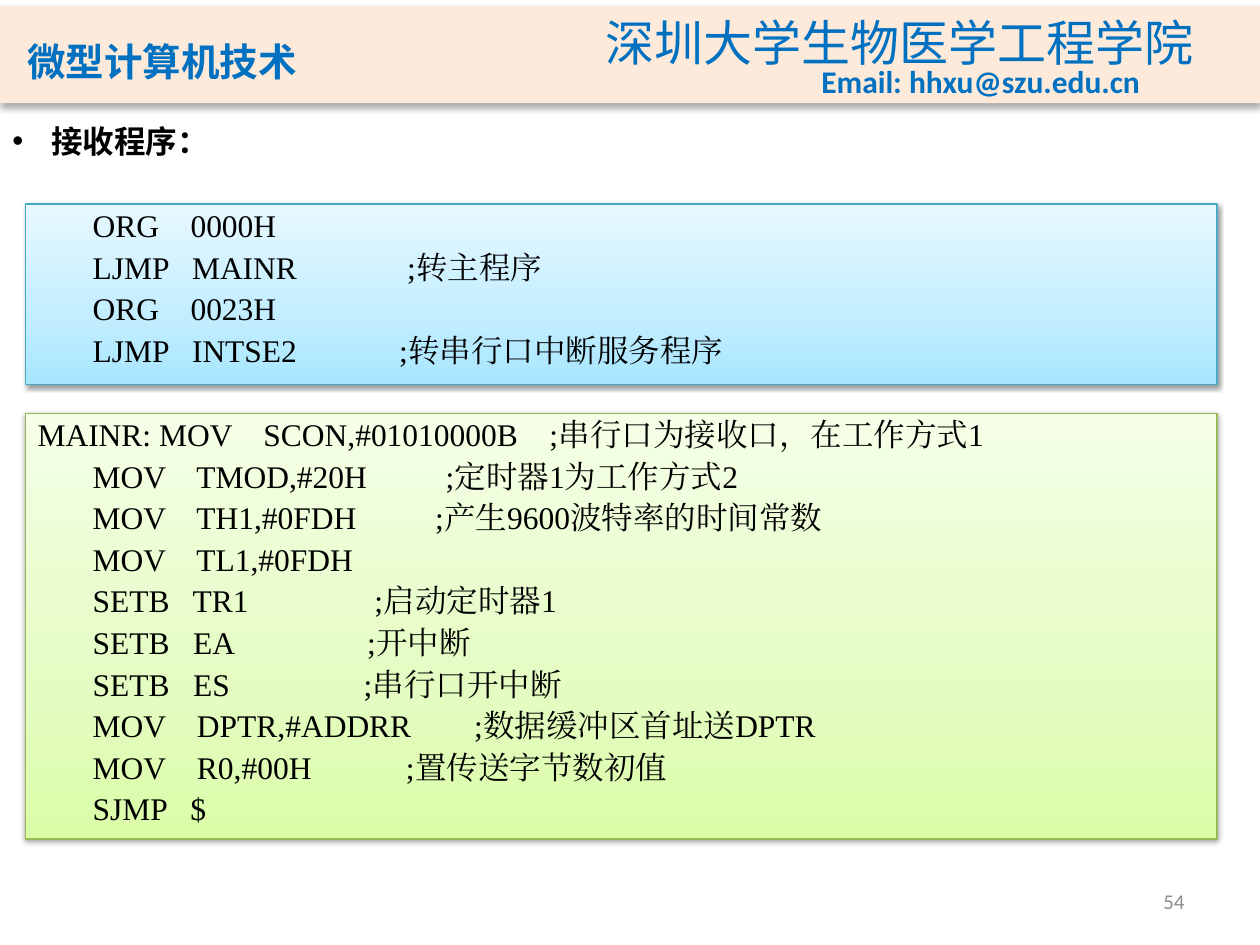
"""Build the lecture slide that shows the serial receive program."""
import pptx
import pptx.dml.color
import pptx.enum.shapes
import pptx.enum.text
import pptx.oxml
import pptx.oxml.ns
import pptx.util
from pptx.util import Inches

RGBColor = pptx.dml.color.RGBColor
ALIGN = pptx.enum.text.PP_ALIGN
ANCHOR = pptx.enum.text.MSO_ANCHOR
BLUE = RGBColor(0x00, 0x70, 0xC0)
BLACK = RGBColor(0x00, 0x00, 0x00)
GREY = RGBColor(0x8C, 0x8C, 0x8C)
PEACH = RGBColor(0xFD, 0xEA, 0xDA)
TEAL_LINE = RGBColor(0x46, 0xAA, 0xC5)
GREEN_LINE = RGBColor(0x98, 0xB9, 0x55)
BLUE_STOPS = [
    (0, RGBColor(0xA7, 0xE6, 0xFF)),
    (35, RGBColor(0xC1, 0xED, 0xFF)),
    (100, RGBColor(0xE7, 0xF8, 0xFF)),
]
GREEN_STOPS = [
    (0, RGBColor(0xDA, 0xFD, 0xA7)),
    (35, RGBColor(0xE4, 0xFC, 0xC2)),
    (100, RGBColor(0xF5, 0xFF, 0xE7)),
]
VECTORS = """       ORG    0000H
       LJMP   MAINR              ;转主程序
       ORG    0023H
       LJMP   INTSE2             ;转串行口中断服务程序"""
MAIN_ROUTINE = """MAINR: MOV    SCON,#01010000B    ;串行口为接收口，在工作方式1
       MOV    TMOD,#20H          ;定时器1为工作方式2
       MOV    TH1,#0FDH          ;产生9600波特率的时间常数
       MOV    TL1,#0FDH
       SETB   TR1                ;启动定时器1
       SETB   EA                 ;开中断
       SETB   ES                 ;串行口开中断
       MOV    DPTR,#ADDRR        ;数据缓冲区首址送DPTR
       MOV    R0,#00H            ;置传送字节数初值
       SJMP   $"""


def xml(tag, parent, **attrs):
    el = pptx.oxml.parse_xml(f'<{tag} {pptx.oxml.ns.nsdecls("a")}/>')
    for name, value in attrs.items():
        el.set(name, str(value))
    parent.append(el)
    return el


def write(p, text, size=18, font="Calibri", color=BLACK, bold=False, align=ALIGN.LEFT):
    p.alignment = align
    r = p.add_run()
    r.text = text
    r.font.size = pptx.util.Pt(size)
    r.font.name = font
    r.font.bold = bold
    r.font.color.rgb = color
    xml("a:ea", r.font._element, typeface=font)


def indent(p, length):
    pPr = p._p.get_or_add_pPr()
    pPr.set("marL", str(length))
    pPr.set("indent", str(-length))
    return pPr


def add_text(slide, box, text, anchor=ANCHOR.TOP, wrap=False, bullet=False, **style):
    sp = slide.shapes.add_textbox(*map(Inches, box))
    tf = sp.text_frame
    tf.word_wrap = wrap
    tf.vertical_anchor = anchor
    p = tf.paragraphs[0]
    if bullet:
        pPr = indent(p, Inches(0.31))
        xml("a:buFont", pPr, typeface="Arial")
        xml("a:buChar", pPr, char="•")
    write(p, text, **style)


def add_shadow(sp, blur, dist, opacity):
    sp.shadow.inherit = False
    effects = sp._element.spPr.find(pptx.oxml.ns.qn("a:effectLst"))
    shadow = xml("a:outerShdw", effects, blurRad=pptx.util.Pt(blur),
                 dist=pptx.util.Pt(dist), dir=5400000, rotWithShape=0)
    color = xml("a:srgbClr", shadow, val=BLACK)
    xml("a:alpha", color, val=opacity * 1000)


def add_rect(slide, box):
    return slide.shapes.add_shape(
        pptx.enum.shapes.MSO_SHAPE.RECTANGLE, *map(Inches, box))


def add_band(slide, box):
    sp = add_rect(slide, box)
    sp.fill.solid()
    sp.fill.fore_color.rgb = PEACH
    sp.line.fill.background()
    add_shadow(sp, 3.5, 2.2, 32)


def add_code(slide, box, code, stops, line):
    sp = add_rect(slide, box)
    sp.fill.gradient()
    sp.fill.gradient_angle = 90
    stop_list = sp._element.spPr.find(".//" + pptx.oxml.ns.qn("a:gsLst"))
    for old in list(stop_list):
        stop_list.remove(old)
    for pos, color in stops:
        xml("a:srgbClr", xml("a:gs", stop_list, pos=pos * 1000), val=color)
    sp.line.color.rgb = line
    sp.line.width = pptx.util.Pt(0.75)
    add_shadow(sp, 3.1, 1.6, 38)
    tf = sp.text_frame
    tf.word_wrap = True
    tf.vertical_anchor = ANCHOR.TOP
    for i, text in enumerate(code.splitlines()):
        p = tf.add_paragraph() if i else tf.paragraphs[0]
        indent(p, Inches(0.38))
        p.line_spacing = 0.9
        p.space_before = pptx.util.Pt(4.3 if i else 0)
        write(p, text, font="Times New Roman")


def main():
    prs = pptx.Presentation()
    prs.slide_width, prs.slide_height = Inches(10), Inches(7.5)
    slide = prs.slides.add_slide(prs.slide_layouts[6])
    add_band(slide, (0, 0.05, 10, 0.77))
    add_text(slide, (0.12, 0.16, 3.39, 0.56), "微型计算机技术", anchor=ANCHOR.BOTTOM,
             wrap=True, size=22, font="Noto Sans CJK JP", color=BLUE, bold=True)
    add_text(slide, (4.71, 0.05, 4.91, 0.57), "深圳大学生物医学工程学院",
             size=28, font="Noto Sans CJK SC", color=BLUE)
    add_text(slide, (6.42, 0.44, 2.75, 0.4), "Email: hhxu@szu.edu.cn", color=BLUE, bold=True)
    add_text(slide, (7.17, 6.95, 2.33, 0.4), "54", anchor=ANCHOR.MIDDLE, wrap=True,
             size=12, color=GREY, align=ALIGN.RIGHT)
    add_code(slide, (0.2, 1.62, 9.46, 1.43), VECTORS, BLUE_STOPS, TEAL_LINE)
    add_text(slide, (0, 0.92, 1.79, 0.4), "接收程序：", bullet=True, bold=True)
    add_code(slide, (0.2, 3.28, 9.46, 3.38), MAIN_ROUTINE, GREEN_STOPS, GREEN_LINE)
    prs.save("out.pptx")


if __name__ == "__main__":
    main()
